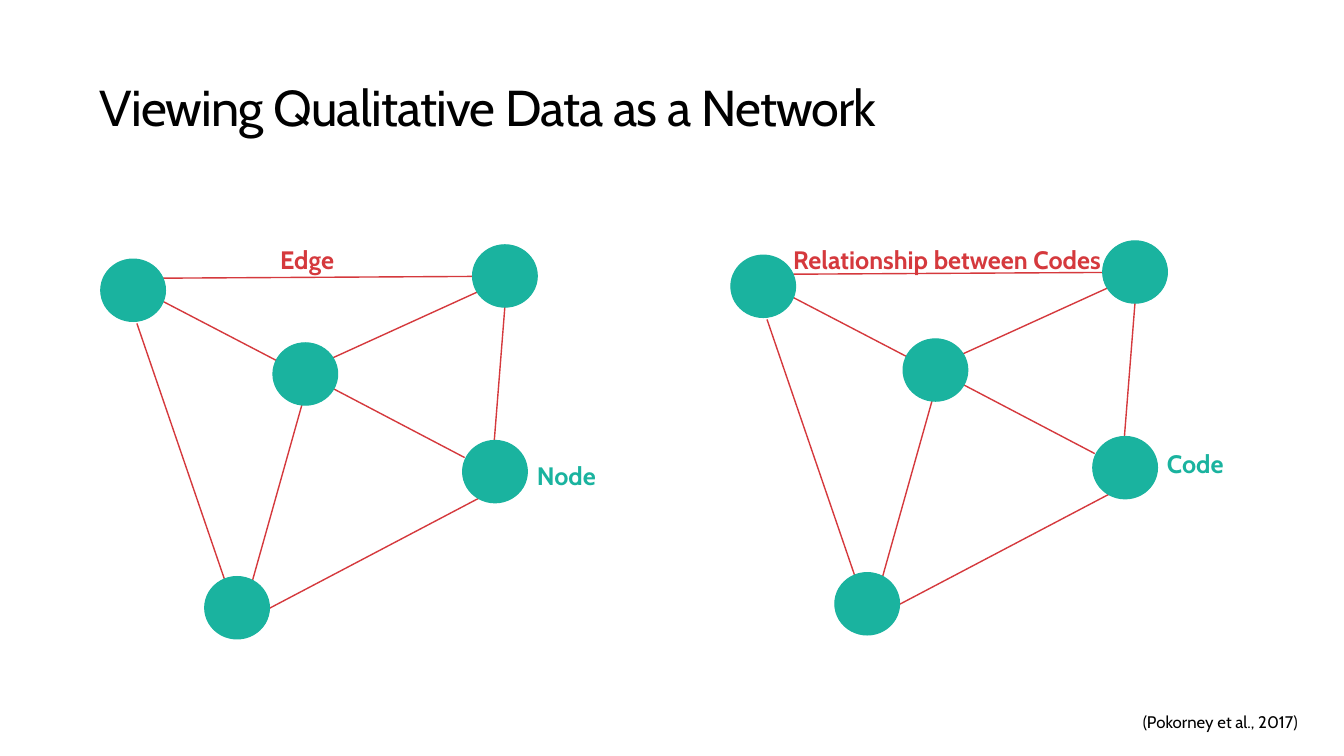
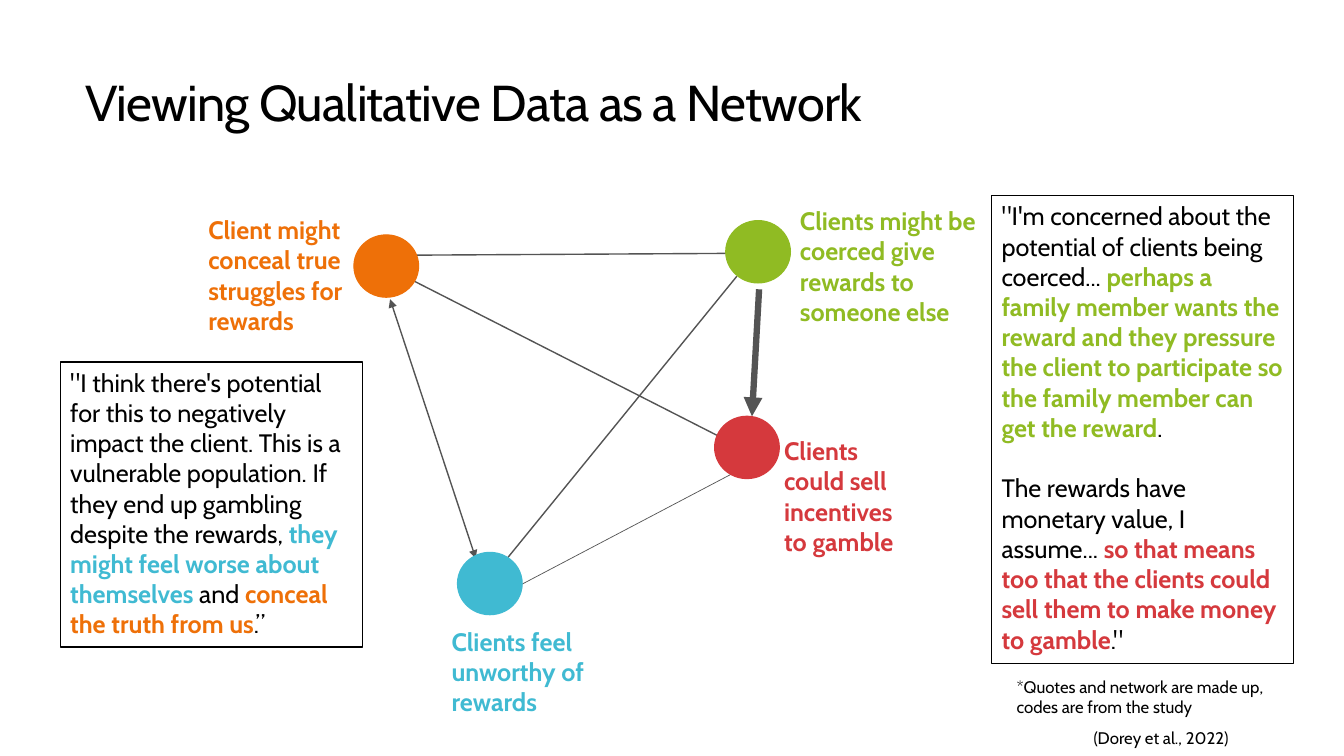
from pptx import Presentation
from pptx.dml.color import RGBColor
from pptx.enum.shapes import MSO_CONNECTOR, MSO_SHAPE
from pptx.enum.text import MSO_ANCHOR, PP_ALIGN
from pptx.oxml.ns import qn
from pptx.util import Cm, Pt
from lxml.etree import SubElement

COLORS = {
    "black": "000000", "gray": "545454", "teal": "1AB39F", "red": "D5393D",
    "blue": "40BAD2", "green": "90BB23", "orange": "EE7008",
}
FONT = "Cabin"
TITLE = "Viewing Qualitative Data as a Network"
NODE_W, NODE_H = 1.63, 1.57

NETWORK_NODES = [(5.16, 14.53), (11.91, 6.17), (2.54, 6.53), (11.66, 11.1), (6.88, 8.64)]
NETWORK_EDGES = [
    (3.45, 8.15, 5.72, 14.78),
    (7.67, 9.98, 6.32, 14.78),
    (12.17, 12.5, 6.71, 15.37),
    (12.07, 7.34, 8.05, 9.17),
    (7.42, 9.32, 4.06, 7.57),
    (12.75, 7.39, 12.42, 11.56),
    (3.99, 7.01, 12.83, 6.96),
    (11.71, 11.53, 8.41, 9.8),
]
CODE_EDGES = [
    ((9.83, 7.54, 11.99, 14.07), 1, ("headEnd", "tailEnd")),
    ((18.57, 6.96, 12.7, 14.17), 1, ()),
    ((18.54, 11.89, 13.08, 14.76), 0.5, ()),
    ((10.36, 6.43, 19.2, 6.38), 1, ()),
    ((18.52, 11.2, 10.39, 7.06), 1, ()),
    ((19.13, 7.29, 18.95, 10.49), 4.5, ("tailEnd",)),
]
CODES = [
    ("blue", (11.53, 13.92), (11.13, 15.65, 4.52, 2.57),
     "Clients feel unworthy of rewards\u00a0"),
    ("green", (18.29, 5.56), (19.91, 5.05, 5.28, 3.33),
     "Clients might be coerced give rewards to someone else"),
    ("orange", (8.92, 5.92), (5, 5.28, 4.52, 3.33),
     "Client might conceal true struggles for rewards"),
    ("red", (18.01, 10.49), (19.51, 10.85, 3.78, 3.33),
     "Clients could sell incentives to gamble"),
]
COERCION_QUOTE = [
    [("\"I'm concerned about the potential of clients being coerced... ", "black"),
     ("perhaps a family member wants the reward and they pressure the client to "
      "participate so the family member can get the reward", "green"),
     (".\u00a0", "black")],
    [("The rewards have monetary value, I assume... ", "black"),
     ("so that means too that the clients could sell them to make money to gamble", "red"),
     (".\"", "black")],
]
IMPACT_QUOTE = [
    [("\"I think there's potential for this to negatively impact the client. This is a "
      "vulnerable population.\u00a0If they end up gambling despite the rewards, ", "black"),
     ("they might feel worse about themselves", "blue"),
     (" and ", "black"),
     ("conceal the truth from us", "orange"),
     (".\u201d", "black")],
]


def rgb(name):
    """Return the named colour."""
    return RGBColor.from_string(COLORS[name])


def style_run(r, size, color, bold=False):
    """Set the font of one run."""
    r.font.name = FONT
    r.font.size = Pt(size)
    r.font.bold = bold
    r.font.color.rgb = rgb(color)


def add_text(s, at, text, size=18, color="black", bold=False):
    """Add a wrapping text box and return its paragraph."""
    tf = s.shapes.add_textbox(*map(Cm, at)).text_frame
    tf.word_wrap = True
    p = tf.paragraphs[0]
    p.text = text
    style_run(p.runs[0], size, color, bold)
    return p


def add_title(s, left, top):
    """Add the shared title, centred vertically in its box."""
    p = add_text(s, (left, top, 29.21, 3.68), TITLE, 36)
    p.line_spacing = 0.9
    p.runs[0]._r.get_or_add_rPr().set("spc", "-60")
    s.shapes[-1].text_frame.vertical_anchor = MSO_ANCHOR.MIDDLE


def add_node(s, left, top, color):
    """Add a network node."""
    sp = s.shapes.add_shape(MSO_SHAPE.OVAL, Cm(left), Cm(top), Cm(NODE_W), Cm(NODE_H))
    sp.shadow.inherit = False
    sp.fill.solid()
    sp.fill.fore_color.rgb = rgb(color)
    sp.line.color.rgb = rgb(color)
    sp.line.width = Pt(0.85)


def add_edge(s, ends, color, width=1, arrows=()):
    """Add a straight edge with optional arrowheads."""
    cx = s.shapes.add_connector(MSO_CONNECTOR.STRAIGHT, *map(Cm, ends))
    cx.line.color.rgb = rgb(color)
    cx.line.width = Pt(width)
    for end in arrows:
        SubElement(cx.line._get_or_add_ln(), qn(f"a:{end}"), type="triangle")
    SubElement(cx._element.spPr, qn("a:effectLst"))


def add_network(s, dx=0, dy=0):
    """Add the five-node network, moved by an offset."""
    for x1, y1, x2, y2 in NETWORK_EDGES:
        add_edge(s, (x1 + dx, y1 + dy, x2 + dx, y2 + dy), "red")
    for left, top in NETWORK_NODES:
        add_node(s, left + dx, top + dy, "teal")


def add_quote(s, at, paragraphs, width):
    """Add an outlined quote whose coloured parts are bold."""
    sp = s.shapes.add_shape(MSO_SHAPE.RECTANGLE, *map(Cm, at))
    sp.shadow.inherit = False
    sp.fill.background()
    sp.line.color.rgb = rgb("black")
    sp.line.width = Pt(width)
    tf = sp.text_frame
    tf.word_wrap = True
    tf.vertical_anchor = MSO_ANCHOR.TOP
    for i, parts in enumerate(paragraphs):
        p = tf.add_paragraph() if i else tf.paragraphs[0]
        p.alignment = PP_ALIGN.LEFT
        p.space_before = Pt(21.6 if i else 0)
        for text, color in parts:
            r = p.add_run()
            r.text = text
            style_run(r, 18, color, color != "black")


def build_concept(s):
    """Build the slide that maps network terms to codes."""
    add_title(s, 2.26, 0.94)
    add_network(s)
    add_network(s, 15.88, -0.1)
    add_text(s, (6.81, 6.02, 2.57, 1.02), "Edge", color="red", bold=True)
    add_text(s, (13.28, 11.48, 2.06, 1.02), "Node", color="teal", bold=True)
    add_text(s, (19.74, 6.02, 10.08, 1.02), "Relationship between Codes", color="red", bold=True)
    add_text(s, (29.16, 11.18, 2.06, 1.02), "Code", color="teal", bold=True)
    add_text(s, (28.55, 17.81, 5.05, 0.76), "(Pokorney et al., 2017)", 12)


def build_example(s):
    """Build the slide with a coded example."""
    add_title(s, 1.9, 0.81)
    for ends, width, arrows in CODE_EDGES:
        add_edge(s, ends, "gray", width, arrows)
    for color, node, label, text in CODES:
        add_node(s, *node, color)
        add_text(s, label, text, color=color, bold=True)
    add_quote(s, (24.99, 4.93, 7.62, 11.79), COERCION_QUOTE, 0.75)
    add_quote(s, (1.52, 9.12, 7.62, 7.19), IMPACT_QUOTE, 1)
    add_text(s, (27.31, 18.21, 6.5, 0.76), "(Dorey et al., 2022)", 12)
    add_text(s, (25.37, 16.92, 7.06, 1.27),
             "*Quotes and network are made up, codes are from the study", 12)


def main():
    """Build and save the presentation."""
    prs = Presentation()
    prs.slide_width, prs.slide_height = Cm(33.87), Cm(19.05)
    for build in (build_concept, build_example):
        build(prs.slides.add_slide(prs.slide_layouts[6]))
    prs.save("out.pptx")


main()
